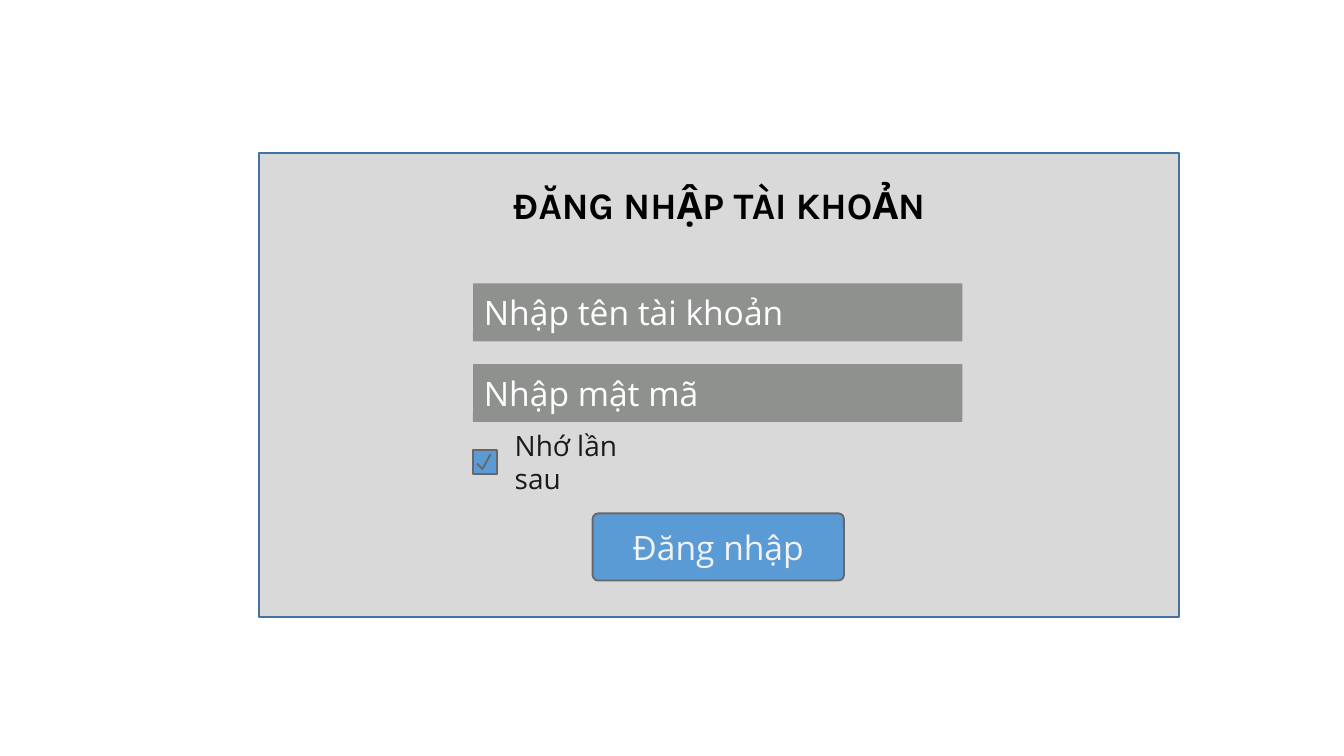
"""Build a slide with a login form mock-up."""
from pptx import Presentation
from pptx.dml.color import RGBColor
from pptx.enum import shapes, text
from pptx.util import Inches, Pt

COLORS = {
    "panel": "D9D9D9", "panel_line": "43739E", "field": "8E918E",
    "accent": "5B9BD5", "outline": "666768", "title": "000000",
    "field_text": "FFFFFF", "button_text": "F2F2F2", "label": "1A1A1A",
}
SLIDE_WIDTH = 10
PANEL_LEFT, PANEL_WIDTH = 1.93, 6.84
FIELD_LEFT, FIELD_WIDTH, FIELD_HEIGHT = 3.52, 3.64, 0.43
FIELD_TOP, FIELD_PITCH = 2.11, 0.6
FIELDS = ["Nhập tên tài khoản", "Nhập mật mã"]


def color(name):
    return RGBColor.from_string(COLORS[name])


def paint(shape, fill, line=None):
    shape.shadow.inherit = False
    shape.fill.solid()
    shape.fill.fore_color.rgb = color(fill)
    if line:
        shape.line.color.rgb = color(line)
        shape.line.width = Pt(1)
    else:
        shape.line.fill.background()


def add_box(slide, kind, box, fill, line=None, radius=None):
    shape = slide.shapes.add_shape(kind, *map(Inches, box))
    if radius is not None:
        shape.adjustments[0] = radius
    paint(shape, fill, line)
    return shape


def write(shape, wording, size, ink, font="Open Sans", bold=False,
          align=text.PP_ALIGN.LEFT, inset=0):
    frame = shape.text_frame
    frame.text = wording
    frame.word_wrap = True
    frame.auto_size = text.MSO_AUTO_SIZE.NONE
    frame.vertical_anchor = text.MSO_ANCHOR.MIDDLE
    frame.margin_left = frame.margin_right = Inches(inset)
    frame.margin_top = frame.margin_bottom = Inches(0)
    paragraph = frame.paragraphs[0]
    paragraph.alignment = align
    run_font = paragraph.runs[0].font
    run_font.name, run_font.size, run_font.bold = font, Pt(size), bold
    run_font.color.rgb = color(ink)
    return paragraph


def add_title(slide, panel):
    title = slide.shapes.title
    title.left, title.top = Inches(PANEL_LEFT), Inches(1.34)
    title.width, title.height = Inches(PANEL_WIDTH), Inches(0.37)
    write(title, "ĐĂNG NHẬP TÀI KHOẢN", 20, "title", "Karla", True,
          text.PP_ALIGN.CENTER, 0.07)
    title.element.addprevious(panel.element)


def add_field(slide, index, wording):
    box = (FIELD_LEFT, FIELD_TOP + index * FIELD_PITCH, FIELD_WIDTH, FIELD_HEIGHT)
    field = add_box(slide, shapes.MSO_SHAPE.ROUNDED_RECTANGLE, box, "field", radius=0.01)
    write(field, wording, 18, "field_text", inset=0.08)


def add_checkbox(slide):
    add_box(slide, shapes.MSO_SHAPE.RECTANGLE, (FIELD_LEFT, 3.35, 0.18, 0.18),
            "accent", "outline")
    builder = slide.shapes.build_freeform(Inches(3.65), Inches(3.38))
    builder.add_line_segments(
        [(Inches(3.59), Inches(3.49)), (Inches(3.55), Inches(3.45))], close=False)
    paint(builder.convert_to_shape(), "accent", "outline")
    label = slide.shapes.add_textbox(*map(Inches, (3.83, 3.31, 1.15, 0.25)))
    write(label, "Nhớ lần sau", 15, "label")


def add_button(slide):
    button = add_box(slide, shapes.MSO_SHAPE.ROUNDED_RECTANGLE, (4.41, 3.82, 1.87, 0.5),
                     "accent", "outline", 0.083)
    paragraph = write(button, "Đăng nhập", 18, "button_text",
                      align=text.PP_ALIGN.CENTER)
    paragraph.space_before = Pt(10.5)


def main():
    presentation = Presentation()
    presentation.slide_width = Inches(SLIDE_WIDTH)
    presentation.slide_height = Inches(SLIDE_WIDTH * 9 / 16)
    slide = presentation.slides.add_slide(presentation.slide_layouts[5])
    panel = add_box(slide, shapes.MSO_SHAPE.RECTANGLE,
                    (PANEL_LEFT, 1.14, PANEL_WIDTH, 3.45), "panel", "panel_line")
    add_title(slide, panel)
    for index, wording in enumerate(FIELDS):
        add_field(slide, index, wording)
    add_checkbox(slide)
    add_button(slide)
    presentation.save("out.pptx")


if __name__ == "__main__":
    main()
